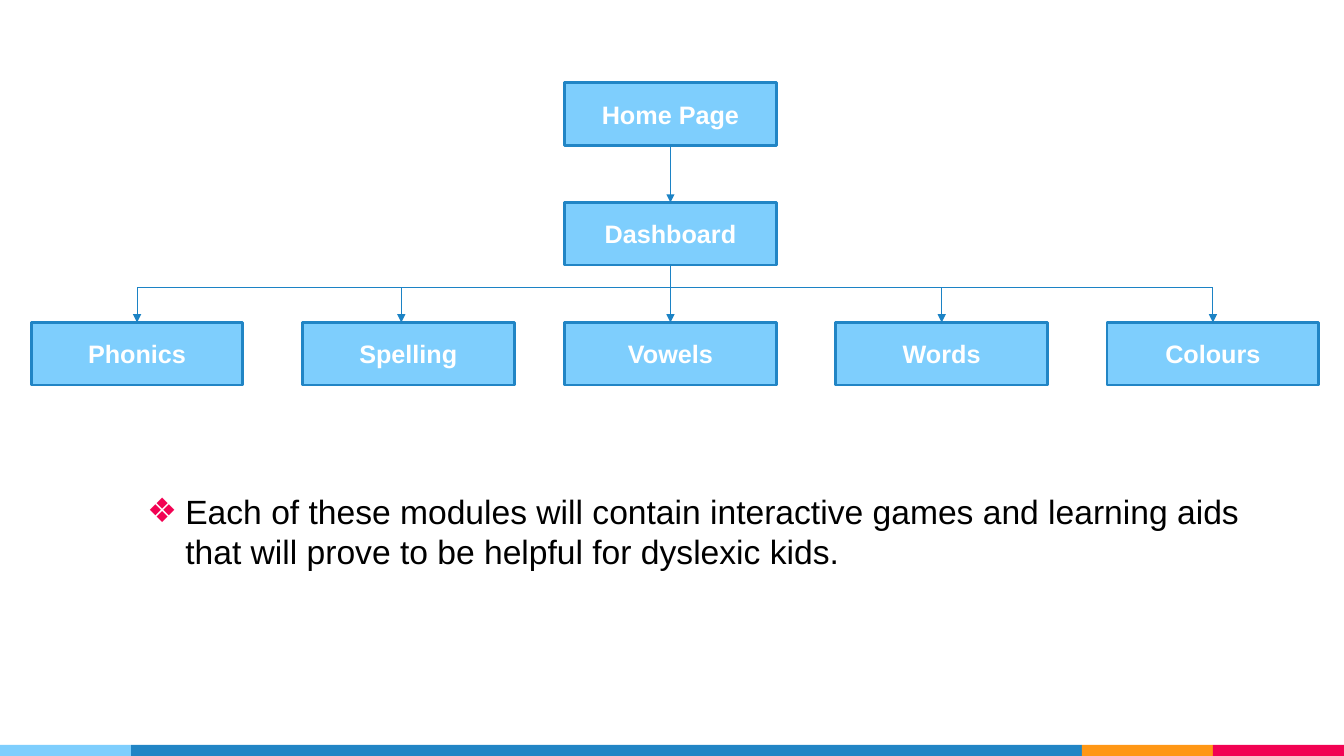
from lxml import etree
from pptx import Presentation
from pptx import util as u
from pptx.dml.color import RGBColor
from pptx.enum import shapes, text
from pptx.oxml import ns

WIDTH, HEIGHT = 13.33, 7.5
BOX_WIDTH, BOX_HEIGHT = 2.1, 0.62
ROW_TOP, ROW_PITCH = 0.82, 1.19
ROWS = [ROW_TOP + ROW_PITCH * row for row in range(3)]
MIDDLE_LEFT = 5.6
BRANCH_TOP = 2.85
SKY, BLUE, ORANGE, PINK = "7ECEFD", "2185C5", "FF9715", "F20253"

deck = Presentation()
deck.slide_width, deck.slide_height = u.Inches(WIDTH), u.Inches(HEIGHT)
page = deck.slides.add_slide(deck.slide_layouts[6])
color = RGBColor.from_string


def add_block(left, top, width, height, fill):
    block = page.shapes.add_shape(
        shapes.MSO_SHAPE.RECTANGLE, *map(u.Inches, (left, top, width, height)))
    block.shadow.inherit = False
    block.fill.solid()
    block.fill.fore_color.rgb = color(fill)
    block.line.fill.background()
    return block


def add_line(x1, y1, x2, y2, arrow=True):
    line = page.shapes.add_connector(
        shapes.MSO_CONNECTOR.STRAIGHT, *map(u.Inches, (x1, y1, x2, y2)))
    line.line.color.rgb = color("1C83C5")
    line.line.width = u.Pt(0.75)
    if arrow:
        outline = line.line._get_or_add_ln()
        etree.SubElement(outline, ns.qn("a:tailEnd"), type="triangle")
    etree.SubElement(line._element.spPr, ns.qn("a:effectLst"))


band_left = 0
for band_width, fill in [(1.3, SKY), (9.43, BLUE), (1.3, ORANGE), (1.3, PINK)]:
    add_block(band_left, HEIGHT - 0.11, band_width, 0.11, fill)
    band_left += band_width

modules = [("Phonics", 0.31), ("Spelling", 3), ("Vowels", MIDDLE_LEFT),
           ("Words", 8.29), ("Colours", 10.98)]
boxes = [("Home Page", MIDDLE_LEFT, ROWS[0]), ("Dashboard", MIDDLE_LEFT, ROWS[1])]
boxes += [(name, left, ROWS[2]) for name, left in modules]

for name, left, top in boxes:
    box = add_block(left, top, BOX_WIDTH, BOX_HEIGHT, SKY)
    box.line.color.rgb = color(BLUE)
    box.line.width = u.Pt(2)
    box.text_frame.vertical_anchor = text.MSO_ANCHOR.MIDDLE
    para = box.text_frame.paragraphs[0]
    para.text = name
    para.alignment = text.PP_ALIGN.CENTER
    para.font.name, para.font.size, para.font.bold = "Arial", u.Pt(18), True
    para.font.color.rgb = color("FFFFFF")

note = page.shapes.add_textbox(*map(u.Inches, (1.36, 4.82, 11.12, 0.91)))
note.text_frame.word_wrap = True
para = note.text_frame.paragraphs[0]
para.text = ("Each of these modules will contain interactive games and learning aids "
             "that will prove to be helpful for dyslexic kids.")
indent = u.Inches(0.38)
layout = para._p.get_or_add_pPr()
layout.set("marL", str(indent))
layout.set("indent", str(-indent))
bullet_color = etree.SubElement(layout, ns.qn("a:buClr"))
etree.SubElement(bullet_color, ns.qn("a:srgbClr"), val=PINK)
etree.SubElement(layout, ns.qn("a:buFont"), typeface="Arial")
etree.SubElement(layout, ns.qn("a:buChar"), char="❖")
para.font.name, para.font.size = "Arial", u.Pt(24)
para.font.color.rgb = color("000000")

center = MIDDLE_LEFT + BOX_WIDTH / 2
for upper, lower in zip(ROWS, ROWS[1:]):
    add_line(center, upper + BOX_HEIGHT, center, lower)

branches = [1.36, 3.98, 9.34, 12.03]
for x in branches:
    add_line(x, BRANCH_TOP, x, ROWS[2])
add_line(branches[0], BRANCH_TOP, branches[-1], BRANCH_TOP, arrow=False)

deck.save("out.pptx")
